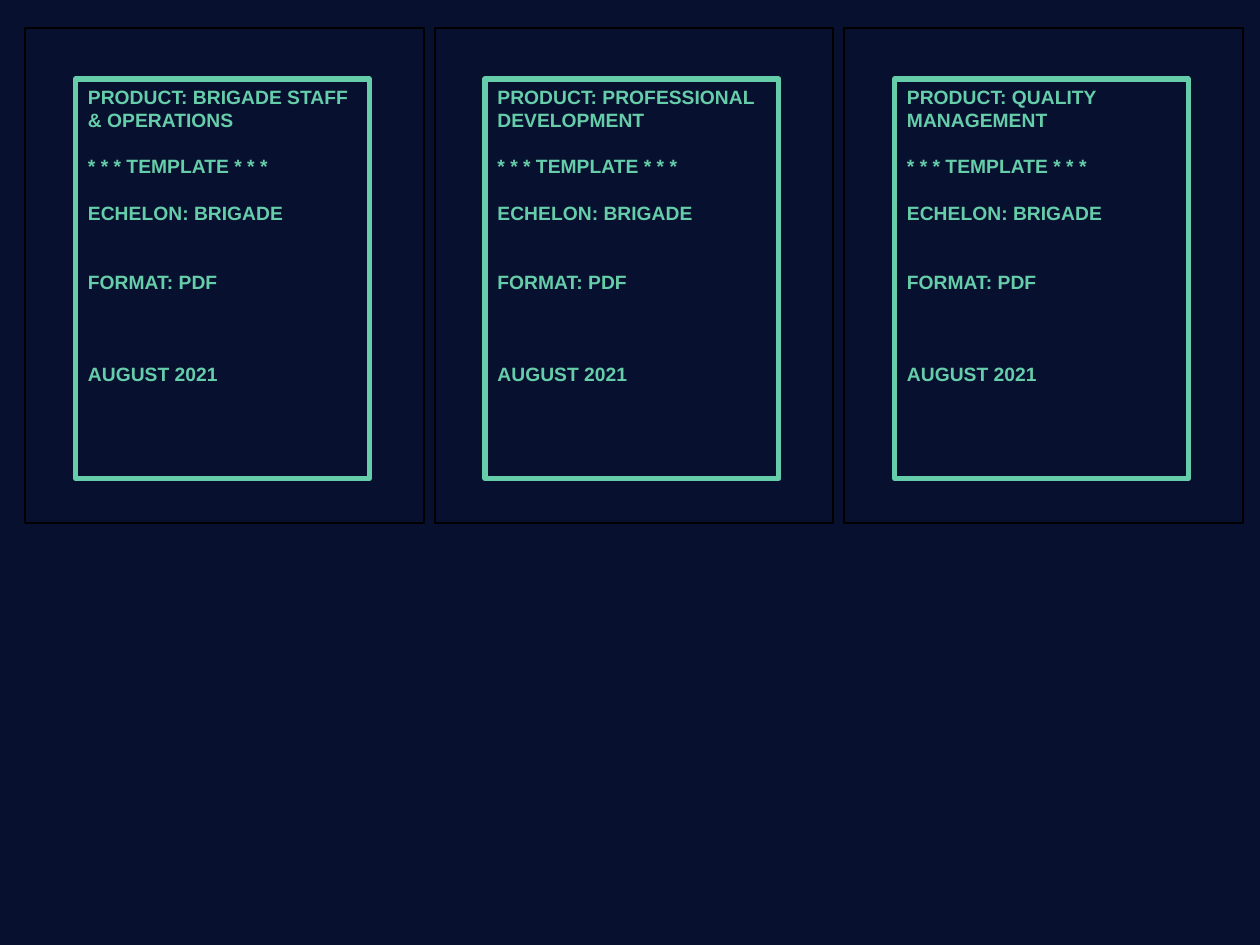
"""Build a slide with three framed product template cards."""
import dataclasses

import pptx
import pptx.dml.color
import pptx.enum.shapes
import pptx.enum.text
import pptx.util

Pt = pptx.util.Pt
RGB = pptx.dml.color.RGBColor.from_string


@dataclasses.dataclass(frozen=True)
class Theme:
    navy: str = "07112F"
    mint: str = "66CDAA"
    black: str = "000000"
    font: str = "Arial"
    size: float = 11
    leading: float = 13.2


theme = Theme()


def add_text(tf, text, first=False, before=0):
    p = tf.paragraphs[0] if first else tf.add_paragraph()
    p.alignment = pptx.enum.text.PP_ALIGN.LEFT
    p.line_spacing = Pt(theme.leading)
    p.space_before = Pt(before)
    r = p.add_run()
    r.text = text
    r.font.name = theme.font
    r.font.size = Pt(theme.size)
    r.font.bold = True
    r.font.color.rgb = RGB(theme.mint)


def add_frame(shapes, left, top, width, height, color, weight):
    sp = shapes.add_shape(pptx.enum.shapes.MSO_SHAPE.RECTANGLE,
                          Pt(left), Pt(top), Pt(width), Pt(height))
    sp.shadow.inherit = False
    sp.fill.background()
    sp.line.color.rgb = RGB(color)
    sp.line.width = Pt(weight)
    return sp


prs = pptx.Presentation()
prs.slide_width, prs.slide_height = Pt(720), Pt(540)
s = prs.slides.add_slide(prs.slide_layouts[6])
s.background.fill.solid()
s.background.fill.fore_color.rgb = RGB(theme.navy)

products = ["BRIGADE STAFF & OPERATIONS", "PROFESSIONAL DEVELOPMENT", "QUALITY MANAGEMENT"]
details = [("* * * TEMPLATE * * *", 1), ("ECHELON: BRIGADE", 1),
           ("FORMAT: PDF", 2), ("AUGUST 2021", 3)]
card_left, card_pitch = 14.4, 234

for i, product in enumerate(products):
    left = card_left + i * card_pitch
    card = s.shapes.add_group_shape()
    card.name = f"Card {i + 1}"
    panel = add_frame(card.shapes, left + 28.8, 45.2, 167.8, 228.2, theme.mint, 3)
    tf = panel.text_frame
    tf.word_wrap = True
    tf.vertical_anchor = pptx.enum.text.MSO_ANCHOR.TOP
    add_text(tf, f"PRODUCT: {product}", first=True)
    for text, gap_lines in details:
        add_text(tf, text, before=gap_lines * theme.leading)
    add_frame(card.shapes, left, 16, 227.8, 283, theme.black, 1)

prs.save("out.pptx")
